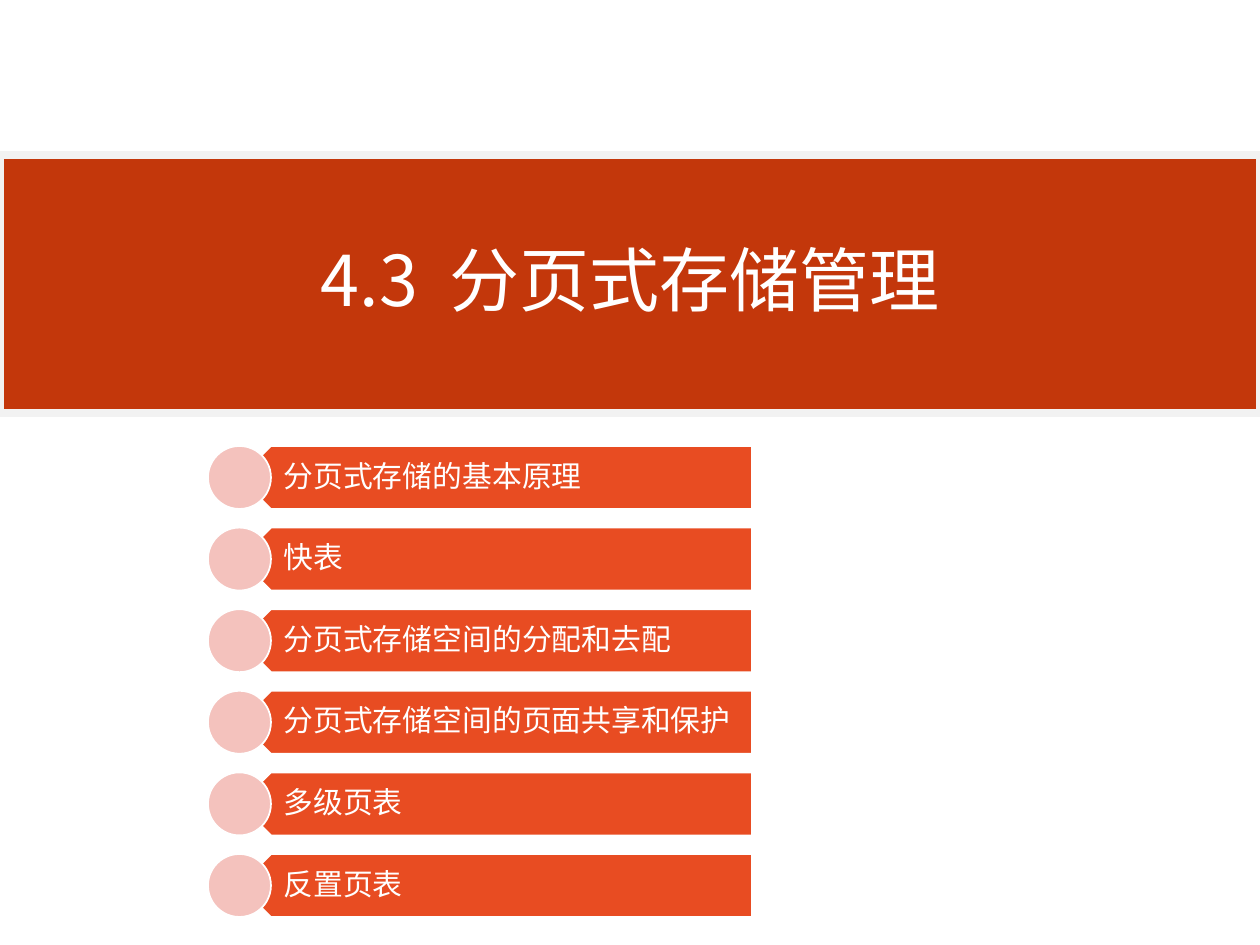
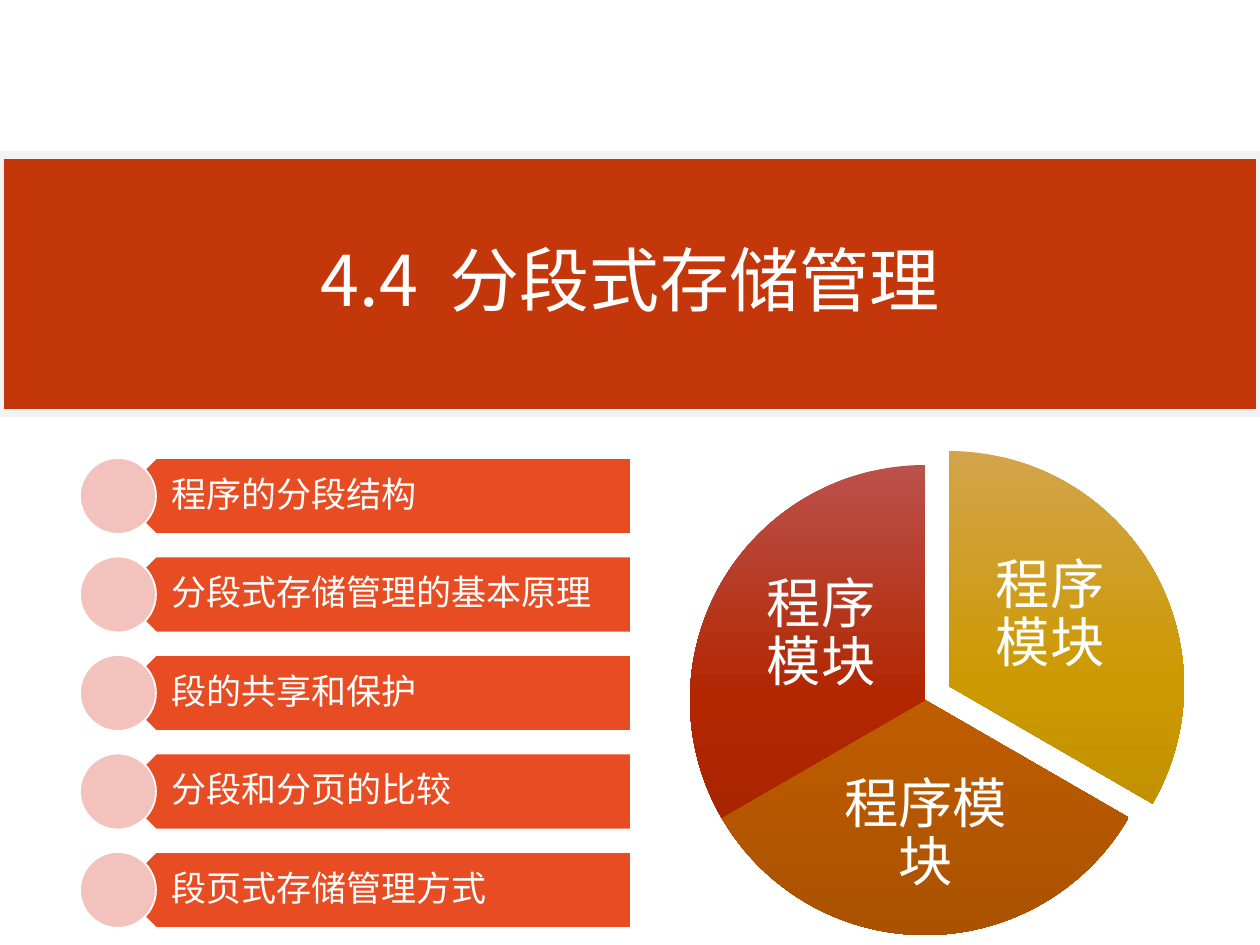
from copy import deepcopy

from pptx import Presentation
from pptx.dml.color import RGBColor
from pptx.enum.shapes import MSO_SHAPE
from pptx.enum.text import MSO_ANCHOR, PP_ALIGN
from pptx.oxml.ns import qn
from pptx.util import Pt

PX = 914400 / 126
SLIDE_W, SLIDE_H = 1260, 945
TITLE_BAND = (0, 155, 1260, 258)

WHITE = RGBColor(0xFF, 0xFF, 0xFF)
PALE_GREY = RGBColor(0xF2, 0xF2, 0xF2)
BRICK = RGBColor(0xC3, 0x37, 0x0B)
ORANGE = RGBColor(0xE8, 0x4C, 0x22)
PINK = RGBColor(0xF4, 0xC2, 0xBD)
GOLD = [RGBColor(0xD3, 0xA4, 0x4B), RGBColor(0xCC, 0x99, 0x00), RGBColor(0xB5, 0x88, 0x00)]
AMBER = [RGBColor(0xC7, 0x71, 0x4B), RGBColor(0xBF, 0x5C, 0x00), RGBColor(0xAA, 0x52, 0x00)]
RED = [RGBColor(0xBB, 0x51, 0x4B), RGBColor(0xB2, 0x26, 0x00), RGBColor(0x9E, 0x22, 0x00)]

CJK_FONT = "Noto Sans CJK SC"
BODY_FONT = "Calibri"

SECTIONS = [
    {
        "number": "4.3",
        "title": "分页式存储管理",
        "topics": [
            "分页式存储的基本原理",
            "快表",
            "分页式存储空间的分配和去配",
            "分页式存储空间的页面共享和保护",
            "多级页表",
            "反置页表",
        ],
        "list": {"left": 208, "right": 752, "first": 446, "last": 854, "dot": 63, "size": 17},
        "slices": [],
    },
    {
        "number": "4.4",
        "title": "分段式存储管理",
        "topics": [
            "程序的分段结构",
            "分段式存储管理的基本原理",
            "段的共享和保护",
            "分段和分页的比较",
            "段页式存储管理方式",
        ],
        "list": {"left": 80, "right": 631, "first": 458, "last": 852, "dot": 76, "size": 20},
        "slices": [
            ("程序模块", (714, 451), (270, 30), GOLD, (970, 538, 160, 156)),
            ("程序模块", (690, 465), (30, 150), AMBER, (819, 762, 213, 146)),
            ("程序模块", (690, 465), (150, 270), RED, (741, 557, 160, 156)),
        ],
    },
]
PIE_SIZE = 470
PIE_TEXT_SIZE = 31


def px(length):
    return round(length * PX)


def box(values):
    return [px(value) for value in values]


def add_outline(slide, kind, bounds, fill=None, line=None, width=1):
    shape = slide.shapes.add_shape(kind, *box(bounds))
    shape.shadow.inherit = False
    if fill is not None:
        shape.fill.solid()
        shape.fill.fore_color.rgb = fill
    if line is None:
        shape.line.fill.background()
    else:
        shape.line.color.rgb = line
        shape.line.width = Pt(width)
    return shape


def write(frame, *texts, size, font=BODY_FONT, align=PP_ALIGN.LEFT, insets=(13, 6, 13, 6)):
    frame.word_wrap = True
    frame.vertical_anchor = MSO_ANCHOR.MIDDLE
    frame.margin_left, frame.margin_top, frame.margin_right, frame.margin_bottom = box(insets)
    paragraph = frame.paragraphs[0]
    paragraph.alignment = align
    paragraph.line_spacing = 0.9
    for text in texts:
        run = paragraph.add_run()
        run.text = text
        run.font.size = Pt(size)
        run.font.color.rgb = WHITE
        run.font.name = font
        properties = run.font._element
        east_asian = properties.makeelement(qn("a:ea"), {"typeface": CJK_FONT})
        properties.find(qn("a:latin")).addnext(east_asian)
    return paragraph


def add_title(slide, number, title):
    band = add_outline(slide, MSO_SHAPE.RECTANGLE, TITLE_BAND, BRICK, PALE_GREY, 4.5)
    heading = write(band.text_frame, number, " ", title, size=40, font=CJK_FONT,
                    align=PP_ALIGN.CENTER)
    heading.runs[1].font._element.set("spc", "900")


def add_topics(slide, topics, left, right, first, last, dot, size):
    pitch = (last - first) / (len(topics) - 1)
    bar_left = left + dot / 2
    text_left = bar_left + dot / 4
    insets = [dot * share for share in (0.45, 0.13, 0.26, 0.13)]
    for row, topic in enumerate(topics):
        top = first + row * pitch
        bar = add_outline(slide, MSO_SHAPE.PENTAGON, (bar_left, top, right - bar_left, dot),
                          ORANGE, WHITE)
        bar.rotation = 180
        label = slide.shapes.add_textbox(*box((text_left, top, right - text_left, dot)))
        write(label.text_frame, topic, size=size, insets=insets)
        add_outline(slide, MSO_SHAPE.OVAL, (left, top, dot, dot), PINK, WHITE)


def shade(shape, colours):
    shape.fill.gradient()
    shape.fill.gradient_angle = 270
    stop_list = shape.element.spPr.find(qn("a:gradFill")).find(qn("a:gsLst"))
    stop_list.append(deepcopy(stop_list[0]))
    for stop, position, colour in zip(shape.fill.gradient_stops, (0, 0.5, 1), colours):
        stop.position = position
        stop.color.rgb = colour


def add_slice(slide, text, corner, angles, colours, label_bounds):
    wedge = add_outline(slide, MSO_SHAPE.PIE, (*corner, PIE_SIZE, PIE_SIZE))
    for index, angle in enumerate(angles):
        wedge.adjustments[index] = angle * 0.6
    shade(wedge, colours)
    label = slide.shapes.add_textbox(*box(label_bounds))
    write(label.text_frame, text, size=PIE_TEXT_SIZE, align=PP_ALIGN.CENTER, insets=(5, 5, 5, 5))


def main():
    deck = Presentation()
    deck.slide_width, deck.slide_height = px(SLIDE_W), px(SLIDE_H)
    for section in SECTIONS:
        slide = deck.slides.add_slide(deck.slide_layouts[6])
        add_title(slide, section["number"], section["title"])
        add_topics(slide, section["topics"], **section["list"])
        for module in section["slices"]:
            add_slice(slide, *module)
    deck.save("out.pptx")


if __name__ == "__main__":
    main()
